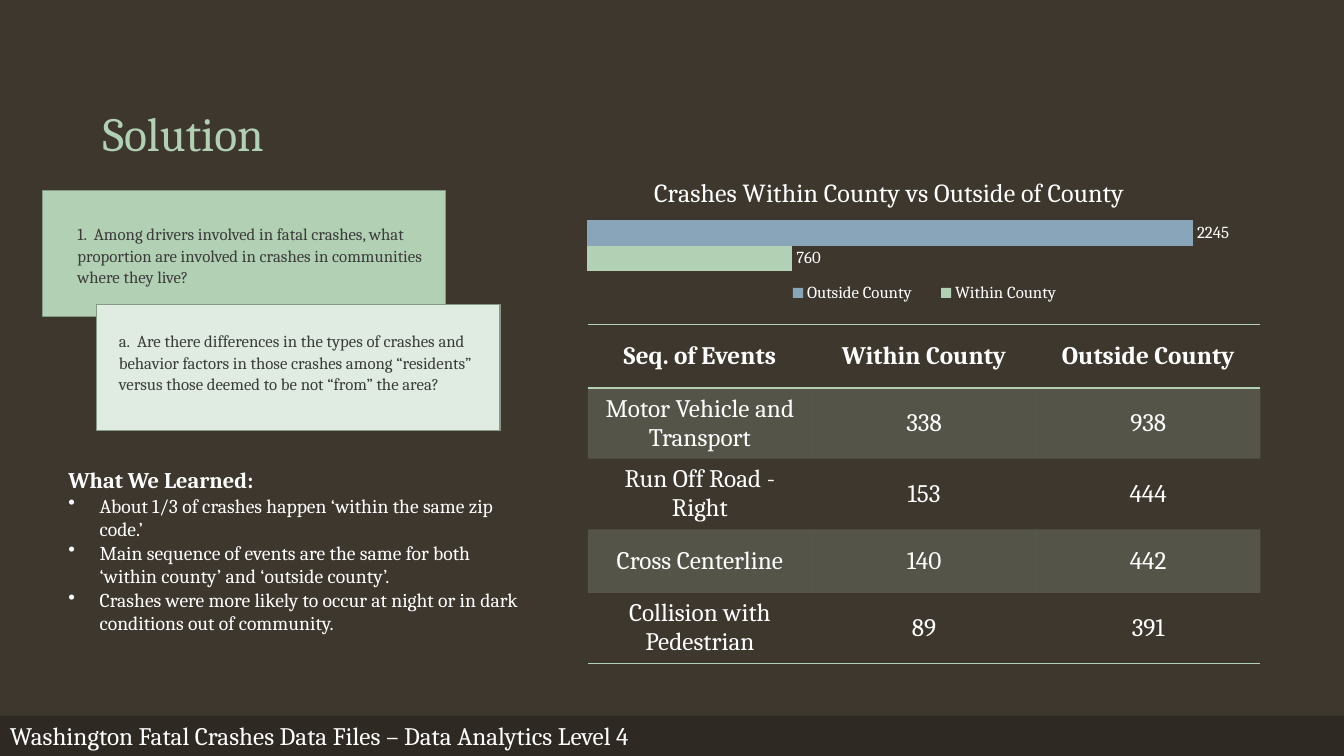
import pptx
import pptx.chart.data
import pptx.dml.color
import pptx.enum.chart
import pptx.enum.shapes
import pptx.enum.text
import pptx.oxml
import pptx.oxml.ns
import pptx.util
from pptx.util import Inches

RGB = pptx.dml.color.RGBColor
DARK = RGB(0x3D, 0x37, 0x2E)
BAND = RGB(0x2E, 0x29, 0x23)
GREEN = RGB(0xB2, 0xD0, 0xB4)
PALE = RGB(0xE0, 0xEC, 0xE1)
EDGE = RGB(0x84, 0x9A, 0x85)
BLUE = RGB(0x88, 0xA5, 0xBA)
INK = RGB(0x3B, 0x3C, 0x3B)
WHITE = RGB(0xFF, 0xFF, 0xFF)
FACE = "Cambria"
NO_GRID = "{2D5ABB26-0587-4C30-8999-92F81FD0307C}"
CENTER = pptx.enum.text.PP_ALIGN.CENTER
MIDDLE = pptx.enum.text.MSO_ANCHOR.MIDDLE
qn = pptx.oxml.ns.qn
make = pptx.oxml.parse_xml
nsdecls = pptx.oxml.ns.nsdecls


def write(para, text, size=18, color=WHITE, bold=False, align=None,
          space=None, indent=0, bullet=False):
    if indent:
        props = para._p.get_or_add_pPr()
        props.set("marL", str(Inches(indent)))
        props.set("indent", str(Inches(-indent if bullet else 0)))
        if bullet:
            props.append(make(f'<a:buChar {nsdecls("a")} char="•"/>'))
    if align is not None:
        para.alignment = align
    if space:
        para.line_spacing = space
    run = para.add_run()
    run.text = text
    for font in (para.font, run.font):
        font.name = FACE
        font.size = pptx.util.Pt(size)
        font.bold = bold
        font.color.rgb = color


def add_box(left, top, width, height):
    """Add a wrapping text box and return its text frame."""
    frame = slide.shapes.add_textbox(
        Inches(left), Inches(top), Inches(width), Inches(height)).text_frame
    frame.word_wrap = True
    return frame


deck = pptx.Presentation()
deck.slide_width = Inches(13.33)
deck.slide_height = Inches(7.5)
slide = deck.slides.add_slide(deck.slide_layouts[6])
slide.background.fill.solid()
slide.background.fill.fore_color.rgb = DARK

# Footer band and question cards
for left, top, width, height, fill, edge in [
    (0, 7.1, 13.33, 0.4, BAND, None),
    (0.42, 1.89, 4, 1.25, GREEN, EDGE),
    (0.96, 3.02, 4, 1.25, PALE, EDGE),
]:
    card = slide.shapes.add_shape(
        pptx.enum.shapes.MSO_SHAPE.RECTANGLE,
        Inches(left), Inches(top), Inches(width), Inches(height))
    card.shadow.inherit = False
    card.fill.solid()
    card.fill.fore_color.rgb = fill
    if edge:
        card.line.color.rgb = edge
        card.line.width = pptx.util.Pt(1)
    else:
        card.line.fill.background()

# Title, footer and questions
title = add_box(0.92, 0.4, 11.5, 1.25)
title.vertical_anchor = pptx.enum.text.MSO_ANCHOR.BOTTOM
write(title.paragraphs[0], "Solution", size=34, color=GREEN, space=0.9)
write(add_box(0, 7.1, 13.33, 0.4).paragraphs[0],
      "Washington Fatal Crashes Data Files – Data Analytics Level 4")
write(add_box(0.67, 2.16, 3.75, 0.73).paragraphs[0],
      "1.  Among drivers involved in fatal crashes, what proportion are "
      "involved in crashes in communities where they live?",
      size=12, color=INK, space=1.07)
write(add_box(0.58, 3.22, 4.38, 0.95).paragraphs[0],
      "a.  Are there differences in the types of crashes and behavior factors "
      "in those crashes among “residents” versus those deemed to be not "
      "“from” the area?",
      size=12, color=INK, space=1.07, indent=0.5)

# Findings
learned = add_box(0.58, 4.58, 4.67, 1.78)
write(learned.paragraphs[0], "What We Learned:", size=16, bold=True)
for point in [
    "About 1/3 of crashes happen ‘within the same zip code.’",
    "Main sequence of events are the same for both ‘within county’ and "
    "‘outside county’.",
    "Crashes were more likely to occur at night or in dark conditions out of "
    "community.",
]:
    write(learned.add_paragraph(), point, size=14, indent=0.31, bullet=True)

# Crash chart
data = pptx.chart.data.CategoryChartData()
data.categories = ["1"]
data.add_series("Within County", [760])
data.add_series("Outside County", [2245])
chart = slide.shapes.add_chart(
    pptx.enum.chart.XL_CHART_TYPE.BAR_CLUSTERED,
    Inches(5.67), Inches(1.66), Inches(7), Inches(1.64), data).chart
chart.font.name = FACE
chart.font.size = pptx.util.Pt(10)
chart.font.color.rgb = WHITE
chart.has_title = True
write(chart.chart_title.text_frame.paragraphs[0],
      "Crashes Within County vs Outside of County", size=18.6)
chart.has_legend = True
legend = chart.legend
legend.position = pptx.enum.chart.XL_LEGEND_POSITION.BOTTOM
legend.include_in_layout = False
chart.value_axis.minimum_scale = 0
chart.value_axis.maximum_scale = 2500
chart.value_axis.has_major_gridlines = False
chart.value_axis.visible = False
chart.category_axis.visible = False
plot = chart.plots[0]
plot.gap_width = 182
plot.overlap = 0
plot.vary_by_categories = False
fonts = [legend.font]
for series, color in zip(plot.series, [GREEN, BLUE]):
    series.format.fill.solid()
    series.format.fill.fore_color.rgb = color
    labels = series.data_labels
    labels.show_value = True
    labels.position = pptx.enum.chart.XL_LABEL_POSITION.OUTSIDE_END
    fonts.append(labels.font)
for font in fonts:
    font.name = FACE
    font.size = pptx.util.Pt(12)
    font.color.rgb = WHITE

# Fixed places for the plot, title and legend
area = chart._chartSpace.chart.plotArea
head = chart.chart_title._element
for part, index, target, spots in [
    (area, 0, '<c:layoutTarget val="inner"/>',
     {"x": 0.022, "y": 0.178, "w": 0.956, "h": 0.592}),
    (head, 1, "", {"x": 0.11, "y": 0.02}),
    (legend._element, 1, "", {"x": 0.28, "y": 0.69, "w": 0.44, "h": 0.14}),
]:
    for old in part.findall(qn("c:layout")):
        part.remove(old)
    modes = "".join(f'<c:{key}Mode val="edge"/>' for key in "xy")
    sizes = "".join(f'<c:{key} val="{val}"/>' for key, val in spots.items())
    part.insert(index, make(
        f'<c:layout {nsdecls("c")}><c:manualLayout>{target}{modes}{sizes}'
        '</c:manualLayout></c:layout>'))

# Event table
rows = [
    ("Seq. of Events", "Within County", "Outside County"),
    ("Motor Vehicle and Transport", "338", "938"),
    ("Run Off Road - Right", "153", "444"),
    ("Cross Centerline", "140", "442"),
    ("Collision with Pedestrian", "89", "391"),
]
table = slide.shapes.add_table(
    len(rows), 3, Inches(5.83), Inches(3.22), Inches(6.67), Inches(3.15)).table
table._tbl.tblPr.find(qn("a:tableStyleId")).text = NO_GRID
table.horz_banding = False
edges = {0: ["lnT", "lnB"], len(rows) - 1: ["lnB"]}
for r, row in enumerate(rows):
    table.rows[r].height = Inches(0.63)
    for c, text in enumerate(row):
        cell = table.cell(r, c)
        cell.vertical_anchor = MIDDLE
        write(cell.text_frame.paragraphs[0], text, bold=r == 0, align=CENTER)
        props = cell._tc.get_or_add_tcPr()
        if r % 2:
            cell.fill.solid()
            cell.fill.fore_color.rgb = GREEN
            tint = props.find(qn("a:solidFill"))[0]
            tint.append(make(f'<a:alpha {nsdecls("a")} val="20000"/>'))
        else:
            cell.fill.background()
        for i, side in enumerate(edges.get(r, [])):
            props.insert(i, make(
                f'<a:{side} {nsdecls("a")} w="12700"><a:solidFill>'
                f'<a:srgbClr val="{GREEN}"/></a:solidFill></a:{side}>'))

deck.save("out.pptx")
